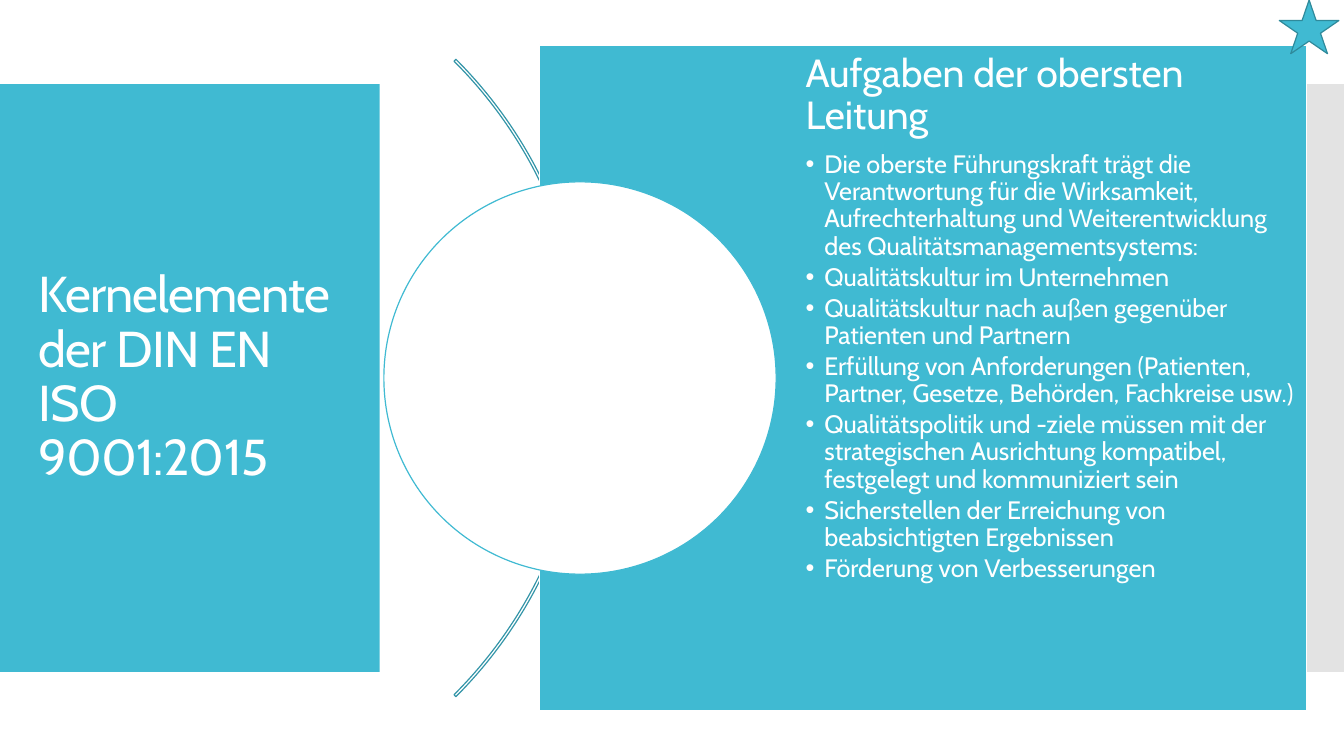
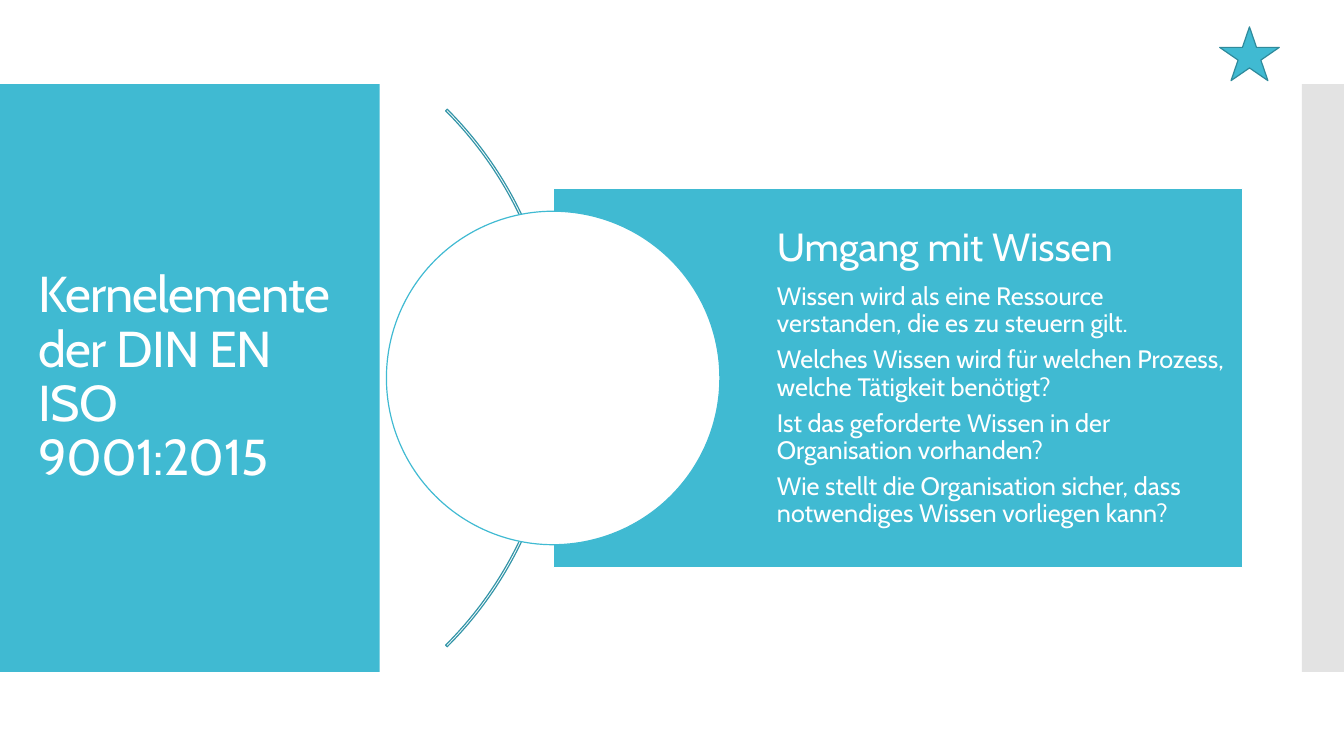
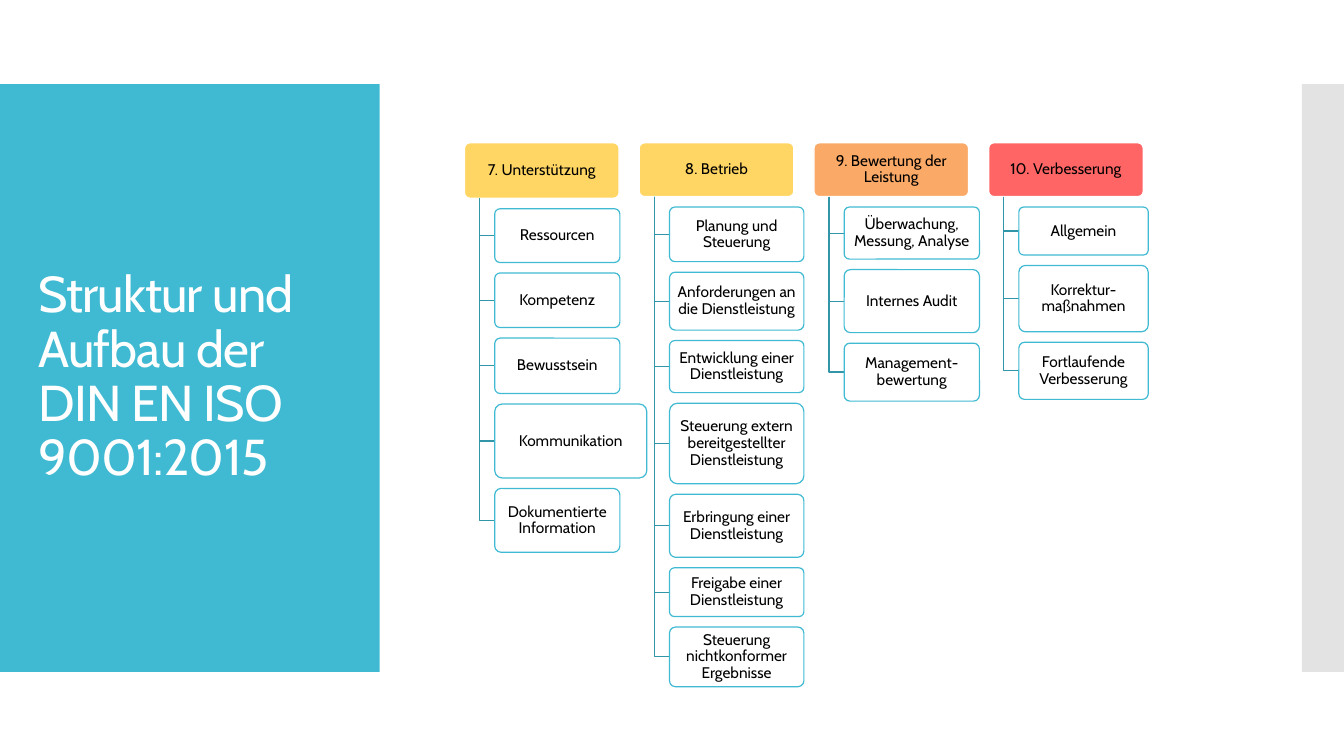
import dataclasses

import pptx
import pptx.dml.color
import pptx.enum.shapes
import pptx.enum.text
import pptx.oxml
import pptx.oxml.ns
import pptx.util


@dataclasses.dataclass(frozen=True)
class Theme:
    font: str = "Cabin"
    teal: str = "40BAD2"
    teal_line: str = "3395A8"
    star_line: str = "2F8A9B"
    grey: str = "C8C8C8"
    white: str = "FFFFFF"
    black: str = "000000"
    yellow: str = "FFD663"
    orange: str = "FAA966"
    red: str = "FF6565"
    title_size: int = 36
    heading_size: int = 28
    body_size: int = 18
    card_size: int = 11
    line_width: float = 0.85
    line_spacing: float = 0.9


theme = Theme()
color = pptx.dml.color.RGBColor.from_string
kinds = pptx.enum.shapes.MSO_SHAPE
anchors = pptx.enum.text.MSO_ANCHOR
qualified = pptx.oxml.ns.qn

COLUMNS, ROWS = 160, 90
MIDDLE_ROW = ROWS / 2
cell = pptx.util.Inches(1) // 12


def paint(shape, fill=None, line=None, opacity=100):
    shape.shadow.inherit = False
    if fill:
        shape.fill.solid()
        shape.fill.fore_color.rgb = color(fill)
        if opacity < 100:
            tint = shape.element.spPr.find(".//" + qualified("a:srgbClr"))
            alpha = tint.makeelement(qualified("a:alpha"), {"val": str(opacity * 1000)})
            tint.append(alpha)
    else:
        shape.fill.background()
    if line:
        shape.line.color.rgb = color(line)
        shape.line.width = pptx.util.Pt(theme.line_width)
    else:
        shape.line.fill.background()


def draw(page, kind, left, top, width, height, **look):
    lengths = [round(length * cell) for length in (left, top, width, height)]
    shape = page.shapes.add_shape(kind, *lengths)
    paint(shape, **look)
    return shape


deck = pptx.Presentation()
deck.slide_width = COLUMNS * cell
deck.slide_height = ROWS * cell
master = deck.slide_master

master_title = master.placeholders[0]
master_title.left, master_title.top = round(3.4 * cell), round(14.8 * cell)
master_title.width, master_title.height = round(38.6 * cell), round(60.4 * cell)
master_title.text_frame.auto_size = pptx.enum.text.MSO_AUTO_SIZE.NONE
title_style = master.element.find(".//" + qualified("p:titleStyle"))
title_style.replace(
    title_style[0],
    pptx.oxml.parse_xml(
        f'<a:lvl1pPr {pptx.oxml.ns.nsdecls("a")} algn="l">'
        f'<a:lnSpc><a:spcPct val="{theme.line_spacing:.0%}"/></a:lnSpc><a:buNone/>'
        f'<a:defRPr sz="{theme.title_size * 100}" spc="-60">'
        f'<a:solidFill><a:srgbClr val="{theme.white}"/></a:solidFill>'
        f'<a:latin typeface="{theme.font}"/></a:defRPr></a:lvl1pPr>'.replace("90%", "90000")
    ),
)

CORE_TITLE = "Kernelemente der DIN EN ISO 9001:2015"
topics = [
    {
        "arc": (-37.3, 107.3),
        "panel": (64.2, 91.3, 79.3),
        "circle": (45.7, 46.7),
        "star": (152.3, 0),
        "inset": 31.7,
        "anchor": anchors.TOP,
        "bulleted": True,
        "heading": "Aufgaben der obersten Leitung",
        "points": [
            "Die oberste Führungskraft trägt die Verantwortung für die Wirksamkeit, "
            "Aufrechterhaltung und Weiterentwicklung des Qualitätsmanagementsystems:",
            "Qualitätskultur im Unternehmen",
            "Qualitätskultur nach außen gegenüber Patienten und Partnern",
            "Erfüllung von Anforderungen (Patienten, Partner, Gesetze, Behörden, Fachkreise usw.)",
            "Qualitätspolitik und -ziele müssen mit der strategischen Ausrichtung kompatibel, "
            "festgelegt und kommuniziert sein",
            "Sicherstellen der Erreichung von beabsichtigten Ergebnissen",
            "Förderung von Verbesserungen",
        ],
    },
    {
        "arc": (-24, 90.5),
        "panel": (65.9, 82, 45.2),
        "circle": (46, 39.7),
        "star": (145.2, 3.2),
        "inset": 26.6,
        "anchor": anchors.MIDDLE,
        "bulleted": False,
        "heading": "Umgang mit Wissen",
        "points": [
            "Wissen wird als eine Ressource verstanden, die es zu steuern gilt.",
            "Welches Wissen wird für welchen Prozess, welche Tätigkeit benötigt?",
            "Ist das geforderte Wissen in der Organisation vorhanden?",
            "Wie stellt die Organisation sicher, dass notwendiges Wissen vorliegen kann?",
        ],
    },
]

for topic in topics:
    page = deck.slides.add_slide(deck.slide_layouts[1])
    page.shapes.title.text = CORE_TITLE

    left, size = topic["arc"]
    arc = draw(page, kinds.BLOCK_ARC, left, MIDDLE_ROW - size / 2, size, size, line=theme.teal_line)
    for index, value in enumerate((189, 27, 0.003)):
        arc.adjustments[index] = value

    panel = page.placeholders[1]
    left, width, height = topic["panel"]
    panel.left, panel.top = round(left * cell), round((MIDDLE_ROW - height / 2) * cell)
    panel.width, panel.height = round(width * cell), round(height * cell)
    paint(panel, theme.teal, theme.white)
    page.shapes.element.append(panel.element)

    frame = panel.text_frame
    frame.auto_size = pptx.enum.text.MSO_AUTO_SIZE.NONE
    frame.vertical_anchor = topic["anchor"]
    frame.margin_left = round(topic["inset"] * cell)
    frame.margin_top = frame.margin_right = frame.margin_bottom = cell
    frame.text = "\n".join([topic["heading"], *topic["points"]])
    for index, paragraph in enumerate(frame.paragraphs):
        bulleted = topic["bulleted"] and index > 0
        size = theme.body_size if index else theme.heading_size
        indent = round(2.25 * cell) if bulleted else 0
        paragraph.level = int(bulleted)
        paragraph.line_spacing = theme.line_spacing
        paragraph.space_before = pptx.util.Pt(0)
        paragraph.space_after = pptx.util.Pt(size * (0.15 if bulleted else 0.35))
        properties = paragraph._p.get_or_add_pPr()
        properties.set("marL", str(indent))
        properties.set("indent", str(-indent))
        marker, settings = ("a:buChar", {"char": "•"}) if bulleted else ("a:buNone", {})
        properties.append(properties.makeelement(qualified(marker), settings))
        paragraph.font.name = theme.font
        paragraph.font.size = pptx.util.Pt(size)
        paragraph.font.color.rgb = color(theme.white)

    left, size = topic["circle"]
    draw(page, kinds.OVAL, left, MIDDLE_ROW - size / 2, size, size, fill=theme.white, line=theme.teal)
    draw(page, kinds.STAR_5_POINT, *topic["star"], 7.1, 6.4, fill=theme.teal, line=theme.star_line)

page = deck.slides.add_slide(deck.slide_layouts[5])
page.shapes.title.text = "Struktur und Aufbau der DIN EN ISO 9001:2015"

bands = [
    draw(page, kinds.RECTANGLE, 0, 10, 45.2, 70, fill=theme.teal),
    draw(page, kinds.RECTANGLE, 155, 10, 5, 70, fill=theme.grey, opacity=50),
]
for number, band in enumerate(bands, start=100):
    band.element.find(".//" + qualified("p:cNvPr")).set("id", str(number))
    master.shapes.element.append(band.element)

FIRST_LEFT, FIRST_TOP = 55.3, 17
CHAPTER_STEP, CHAPTER_WIDTH = 20.8, 18.4
STEM_OFFSET, ITEM_OFFSET, GAP = 1.8, 3.6, 1.25
WIDE_ITEMS = {"Kommunikation": 18.1}

chapters = [
    ("7. Unterstützung", theme.yellow, 6.6, 14.9, [
        ("Ressourcen", 6.4),
        ("Kompetenz", 6.5),
        ("Bewusstsein", 6.6),
        ("Kommunikation", 8.8),
        ("Dokumentierte Information", 7.6),
    ]),
    ("8. Betrieb", theme.yellow, 6.4, 16, [
        ("Planung und Steuerung", 6.5),
        ("Anforderungen an die Dienstleistung", 6.9),
        ("Entwicklung einer Dienstleistung", 6.2),
        ("Steuerung extern bereitgestellter Dienstleistung", 9.6),
        ("Erbringung einer Dienstleistung", 7.5),
        ("Freigabe einer Dienstleistung", 5.8),
        ("Steuerung nichtkonformer Ergebnisse", 7.1),
    ]),
    ("9. Bewertung der Leistung", theme.orange, 6.4, 16.1, [
        ("Überwachung, Messung, Analyse", 6.2),
        ("Internes Audit", 7.5),
        ("Management-bewertung", 6.9),
    ]),
    ("10. Verbesserung", theme.red, 6.4, 15.4, [
        ("Allgemein", 5.7),
        ("Korrektur-maßnahmen", 7.9),
        ("Fortlaufende Verbesserung", 6.8),
    ]),
]

for number, (chapter, fill, chapter_height, item_width, items) in enumerate(chapters):
    left = FIRST_LEFT + number * CHAPTER_STEP
    stem, item_left = left + STEM_OFFSET, left + ITEM_OFFSET
    chapter_bottom = FIRST_TOP + chapter_height
    cards = [(chapter, draw(page, kinds.ROUNDED_RECTANGLE, left, FIRST_TOP, CHAPTER_WIDTH,
                            chapter_height, fill=fill, line=theme.white))]
    top = chapter_bottom + GAP
    for item, height in items:
        center = top + height / 2
        outline = page.shapes.build_freeform(round(stem * cell), round(chapter_bottom * cell))
        outline.add_line_segments(
            [(round(x * cell), round(center * cell)) for x in (stem, item_left)], close=False
        )
        paint(outline.convert_to_shape(), line=theme.teal_line)
        width = WIDE_ITEMS.get(item, item_width)
        cards.append((item, draw(page, kinds.ROUNDED_RECTANGLE, item_left, top, width, height,
                                 fill=theme.white, line=theme.teal, opacity=90)))
        top += height + GAP

    for text, card in cards:
        card.adjustments[0] = 0.1
        frame = card.text_frame
        frame.word_wrap = True
        frame.vertical_anchor = anchors.MIDDLE
        frame.margin_left = frame.margin_right = pptx.util.Inches(0.02)
        frame.margin_top = frame.margin_bottom = pptx.util.Inches(0.02)
        frame.text = text
        paragraph = frame.paragraphs[0]
        paragraph.alignment = pptx.enum.text.PP_ALIGN.CENTER
        paragraph.line_spacing = theme.line_spacing
        paragraph.font.name = theme.font
        paragraph.font.size = pptx.util.Pt(theme.card_size)
        paragraph.font.color.rgb = color(theme.black)

deck.save("out.pptx")
